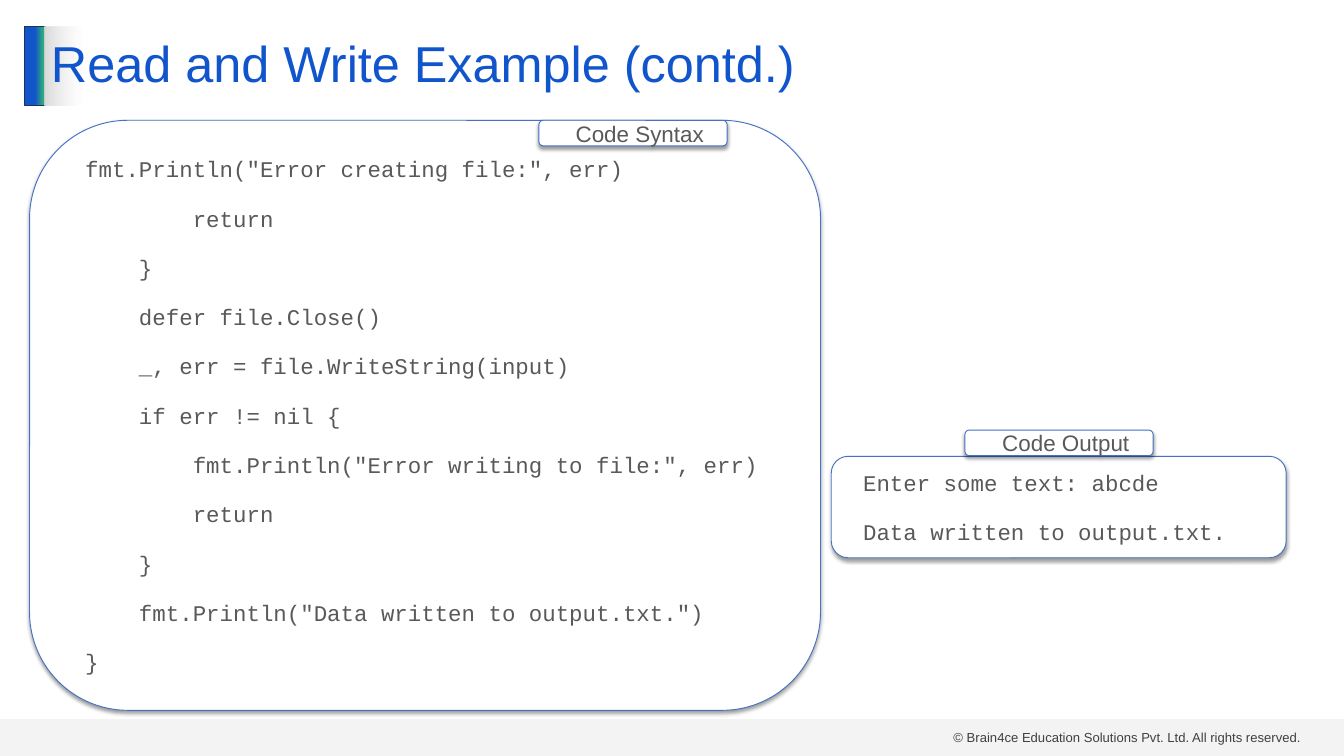
from lxml import etree
from pptx import Presentation
from pptx.dml.color import RGBColor
from pptx.enum.shapes import MSO_SHAPE
from pptx.enum.text import MSO_ANCHOR, PP_ALIGN
from pptx.oxml.ns import qn
from pptx.util import Inches, Pt

RECT, ROUND = MSO_SHAPE.RECTANGLE, MSO_SHAPE.ROUNDED_RECTANGLE
LEFT, CENTER = PP_ALIGN.LEFT, PP_ALIGN.CENTER
MIDDLE = MSO_ANCHOR.MIDDLE
SANS, MONO = "Arial", "Courier New"
BLUE, EDGE, GREY, WHITE = "1155CC", "4472C4", "595959", "FFFFFF"

TITLE = "Read and Write Example (contd.)"
FOOTER = "© Brain4ce Education Solutions Pvt. Ltd. All rights reserved."
CODE = [
    'fmt.Println("Error creating file:", err)',
    "        return",
    "    }",
    "    defer file.Close()",
    "    _, err = file.WriteString(input)",
    "    if err != nil {",
    '        fmt.Println("Error writing to file:", err)',
    "        return",
    "    }",
    '    fmt.Println("Data written to output.txt.")',
    "}",
]
OUTPUT = ["Enter some text: abcde", "Data written to output.txt."]

# place, lines, font, alignment
PANELS = [
    ((0.44, 1.79, 11.77, 8.78), CODE, MONO, LEFT),
    ((8.02, 1.79, 2.8, 0.38), ["Code Syntax"], SANS, CENTER),
    ((12.37, 6.79, 6.77, 1.51), OUTPUT, MONO, LEFT),
    ((14.36, 6.4, 2.8, 0.38), ["Code Output"], SANS, CENTER),
]
# position %, colour, opacity %
BAR = [(51, BLUE, 100), (90, "2EA87D", 100), (100, "2EA87D", 100)]
FADE = [(0, "D9D9D9", 100), (3, WHITE, 50), (100, WHITE, 50)]


def rgb(code):
    return RGBColor.from_string(code)


def add_color(parent, code, alpha):
    color = etree.SubElement(parent, qn("a:srgbClr"), val=code)
    etree.SubElement(color, qn("a:alpha"), val=str(alpha * 1000))


def add_box(slide, kind, place, fill=None, line=None):
    box = slide.shapes.add_shape(kind, *map(Inches, place))
    box.shadow.inherit = False
    if fill:
        box.fill.solid()
        box.fill.fore_color.rgb = rgb(fill)
    if line:
        box.line.color.rgb = rgb(line)
        box.line.width = Pt(1)
    else:
        box.line.fill.background()
    return box


def blend(box, stops):
    """Fill the box with a left-to-right gradient."""
    box.fill.gradient()
    box.fill.gradient_angle = 0
    group = box._element.spPr.find(".//" + qn("a:gsLst"))
    for old in list(group):
        group.remove(old)
    for pos, code, alpha in stops:
        stop = etree.SubElement(group, qn("a:gs"), pos=str(pos * 1000))
        add_color(stop, code, alpha)


def add_shadow(box):
    effects = box._element.spPr.find(qn("a:effectLst"))
    shade = etree.SubElement(
        effects, qn("a:outerShdw"), blurRad=str(Pt(4)), dist=str(Pt(3)),
        dir=str(90 * 60000), algn="ctr", rotWithShape="0")
    add_color(shade, "000000", 40)


def add_text(box, lines, font, size, color, align=LEFT, indent=0, gap=0):
    frame = box.text_frame
    frame.word_wrap = True
    for i, line in enumerate(lines):
        para = frame.add_paragraph() if i else frame.paragraphs[0]
        para.alignment = align
        if indent:
            props = para._p.get_or_add_pPr()
            props.set("marL", str(Inches(indent)))
            props.set("indent", "0")
        if i:
            para.space_before = Pt(gap)
        run = para.add_run()
        run.text = line
        run.font.name = font
        run.font.size = Pt(size)
        run.font.color.rgb = rgb(color)
    return frame


def main():
    deck = Presentation()
    deck.slide_width, deck.slide_height = Inches(20), Inches(11.25)
    slide = deck.slides.add_slide(deck.slide_layouts[6])

    bar = add_box(slide, RECT, (0.37, 0.39, 0.3, 1.18), line="1E3256")
    blend(bar, BAR)

    band = add_box(slide, RECT, (0, 10.7, 20, 0.55), "D9D9D9")
    tint = band._element.spPr.find(".//" + qn("a:srgbClr"))
    etree.SubElement(tint, qn("a:alpha"), val="29000")

    note = slide.shapes.add_textbox(*map(Inches, (14.09, 10.8, 5.41, 0.34)))
    add_text(note, [FOOTER], SANS, 14, "404040")

    title = add_box(slide, RECT, (0.66, 0.39, 18.67, 1.18))
    blend(title, FADE)
    frame = add_text(title, [TITLE], SANS, 54, BLUE)
    frame.vertical_anchor = MIDDLE
    frame.paragraphs[0].line_spacing = 0.9

    for place, lines, font, align in PANELS:
        box = add_box(slide, ROUND, place, WHITE, EDGE)
        add_shadow(box)
        frame = add_text(box, lines, font, 24, GREY, align, 0.2, 24)
        frame.vertical_anchor = MIDDLE
        frame.margin_left = frame.margin_right = Inches(0.2)
        frame.margin_top = frame.margin_bottom = Inches(0.1)

    deck.save("out.pptx")


if __name__ == "__main__":
    main()
